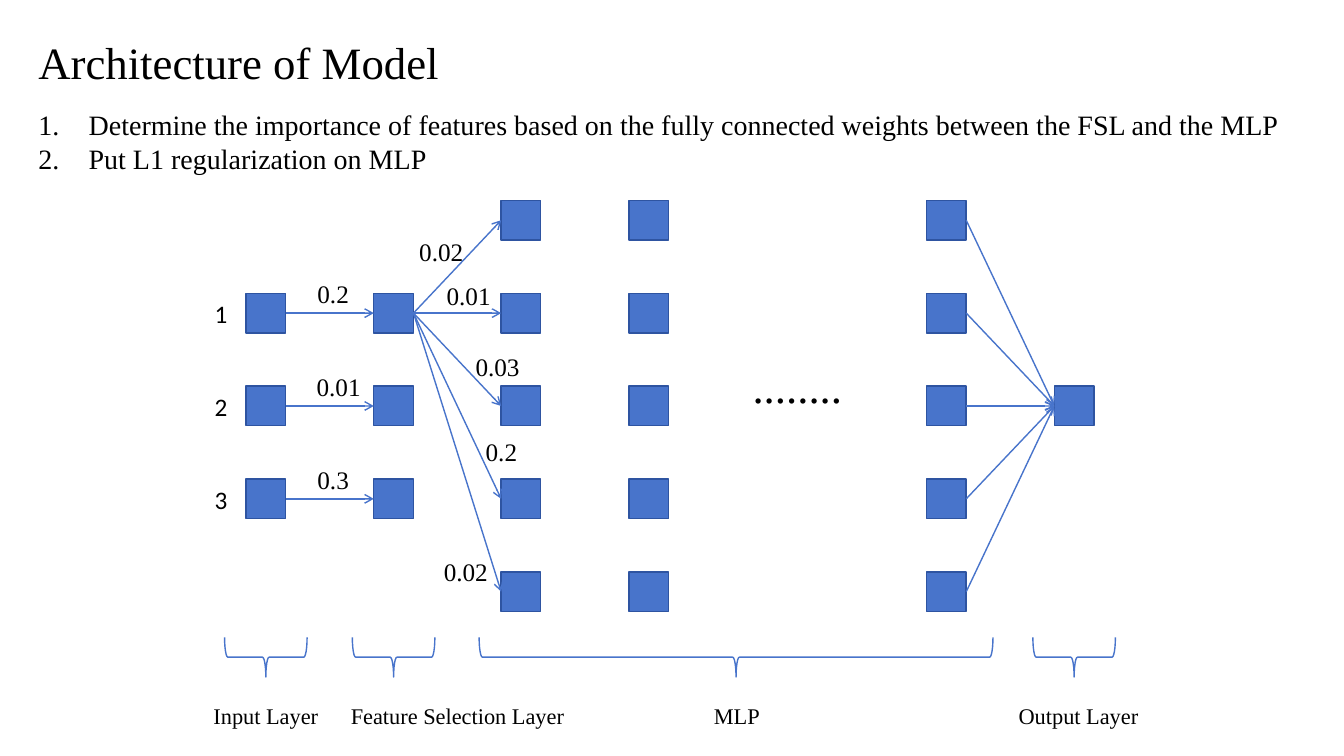
import pptx
import pptx.util
import pptx.dml.color
import pptx.enum.shapes
import pptx.enum.text
import pptx.oxml.ns
import lxml.etree

Cm = pptx.util.Cm
Pt = pptx.util.Pt
Kind = pptx.enum.shapes.MSO_SHAPE
Align = pptx.enum.text.PP_ALIGN

TITLE = "Architecture of Model"
POINTS = [
    "Determine the importance of features based on the fully connected weights between the FSL and the MLP",
    "Put L1 regularization on MLP",
]
HUES = {"fill": "4874CB", "edge": "2E54A1", "text": "000000"}
SERIF = {"name": "Times New Roman", "bold": False}
SANS = {"name": "Calibri", "bold": False}

LAYERS = {
    "input": (6.2, [1, 2, 3]),
    "select": (9.42, [1, 2, 3]),
    "first": (12.63, range(5)),
    "second": (15.85, range(5)),
    "last": (23.35, range(5)),
    "output": (26.57, [2]),
}
LINKS = (
    [("input", row, "select", row) for row in (1, 2, 3)]
    + [("select", 1, "first", row) for row in range(5)]
    + [("last", row, "output", 2) for row in range(5)]
)
GROUPS = [
    ("Input Layer", 6.7, 2.08, 6.7, 4.27),
    ("Feature Selection Layer", 9.92, 2.08, 11.53, 7.01),
    ("MLP", 18.55, 12.95, 18.57, 4.27),
    ("Output Layer", 27.07, 2.08, 27.18, 4.27),
]
WEIGHTS = [
    ("0.2", 7.75, 6.88, 1.35, Align.LEFT),
    ("0.01", 7.73, 9.23, 1.68, Align.LEFT),
    ("0.3", 7.75, 11.57, 1.35, Align.LEFT),
    ("0.02", 10.08, 5.82, 2.08, Align.CENTER),
    ("0.01", 10.77, 6.95, 2.08, Align.CENTER),
    ("0.03", 11.5, 8.72, 2.08, Align.CENTER),
    ("0.2", 11.99, 10.87, 1.35, Align.LEFT),
    ("0.02", 10.7, 13.9, 2.08, Align.CENTER),
]
SIDE, TOP, STEP = 1, 5.05, 2.34
BRACE = 16.56


def hue(key):
    return pptx.dml.color.RGBColor.from_string(HUES[key])


def place(shape, left, top, width, height):
    box = {"left": left, "top": top, "width": width, "height": height}
    for key, value in box.items():
        setattr(shape, key, Cm(value))


def style(part, size, face):
    for key, value in {**face, "size": Pt(size)}.items():
        setattr(part.font, key, value)
    part.font.color.rgb = hue("text")


def setup(frame):
    look = {
        "word_wrap": True,
        "auto_size": pptx.enum.text.MSO_AUTO_SIZE.SHAPE_TO_FIT_TEXT,
        "vertical_anchor": pptx.enum.text.MSO_ANCHOR.TOP,
    }
    for key, value in look.items():
        setattr(frame, key, value)


def label(slide, text, left, top, width, height, size, align, face=SERIF):
    box = slide.shapes.add_textbox(Cm(left), Cm(top), Cm(width), Cm(height))
    setup(box.text_frame)
    line = box.text_frame.paragraphs[0]
    line.text = text
    line.alignment = align
    style(line, size, face)


def head(slide):
    title, body = slide.shapes.title, slide.placeholders[1]
    place(title, 0.71, 0.74, 21.49, 1.62)
    place(body, 0.71, 2.59, 32.28, 1.95)
    title.text_frame.text = TITLE
    body.text_frame.text = "\n".join(POINTS)
    for shape, size in ((title, 32), (body, 20)):
        setup(shape.text_frame)
        for line in shape.text_frame.paragraphs:
            line.alignment = Align.LEFT
            line.space_before = Pt(0)
            if shape is body:
                prop = line._p.get_or_add_pPr()
                prop.set("marL", str(Cm(1.27)))
                prop.set("indent", str(-Cm(1.27)))
                tag = pptx.oxml.ns.qn("a:buAutoNum")
                lxml.etree.SubElement(prop, tag, type="arabicPeriod")
            style(line, size, SERIF)


def node(slide, left, row):
    shape = slide.shapes.add_shape(
        Kind.RECTANGLE, Cm(left), Cm(TOP + row * STEP), Cm(SIDE), Cm(SIDE))
    shape.shadow.inherit = False
    shape.fill.solid()
    shape.fill.fore_color.rgb = hue("fill")
    shape.line.color.rgb = hue("edge")
    shape.line.width = Pt(1)
    return shape


def link(slide, start, end):
    line = slide.shapes.add_connector(
        pptx.enum.shapes.MSO_CONNECTOR.STRAIGHT, 0, 0, 0, 0)
    line.begin_connect(start, 3)
    line.end_connect(end, 1)
    line.line.color.rgb = hue("fill")
    line.line.width = Pt(1)
    qn = pptx.oxml.ns.qn
    prop = line._element.spPr
    lxml.etree.SubElement(prop.find(qn("a:ln")), qn("a:tailEnd"), type="arrow")
    lxml.etree.SubElement(prop, qn("a:effectLst"))


def brace(slide, mid, span):
    shape = slide.shapes.add_shape(
        Kind.LEFT_BRACE, Cm(mid - SIDE / 2), Cm(BRACE - span / 2), Cm(SIDE), Cm(span))
    shape.rotation = 270
    shape.shadow.inherit = False
    shape.fill.background()
    shape.line.color.rgb = hue("fill")
    shape.line.width = Pt(1)


def main():
    deck = pptx.Presentation()
    deck.slide_width, deck.slide_height = Cm(33.87), Cm(19.05)
    slide = deck.slides.add_slide(deck.slide_layouts[1])
    head(slide)
    nodes = {
        (name, row): node(slide, left, row)
        for name, (left, rows) in LAYERS.items() for row in rows
    }
    for near, row, far, goal in LINKS:
        link(slide, nodes[near, row], nodes[far, goal])
    label(slide, "........", 17.48, 8.92, 5.23, 1.62, 32, Align.CENTER)
    for text, mid, span, centre, width in GROUPS:
        brace(slide, mid, span)
        label(slide, text, centre - width / 2, 17.58, width, 0.94, 16, Align.CENTER)
    for text, left, top, width, align in WEIGHTS:
        label(slide, text, left, top, width, 1.02, 18, align)
    for row in LAYERS["input"][1]:
        label(slide, str(row), 5.16, TOP + row * STEP, 11.28, 1.02, 18, Align.LEFT, SANS)
    deck.save("out.pptx")


if __name__ == "__main__":
    main()
